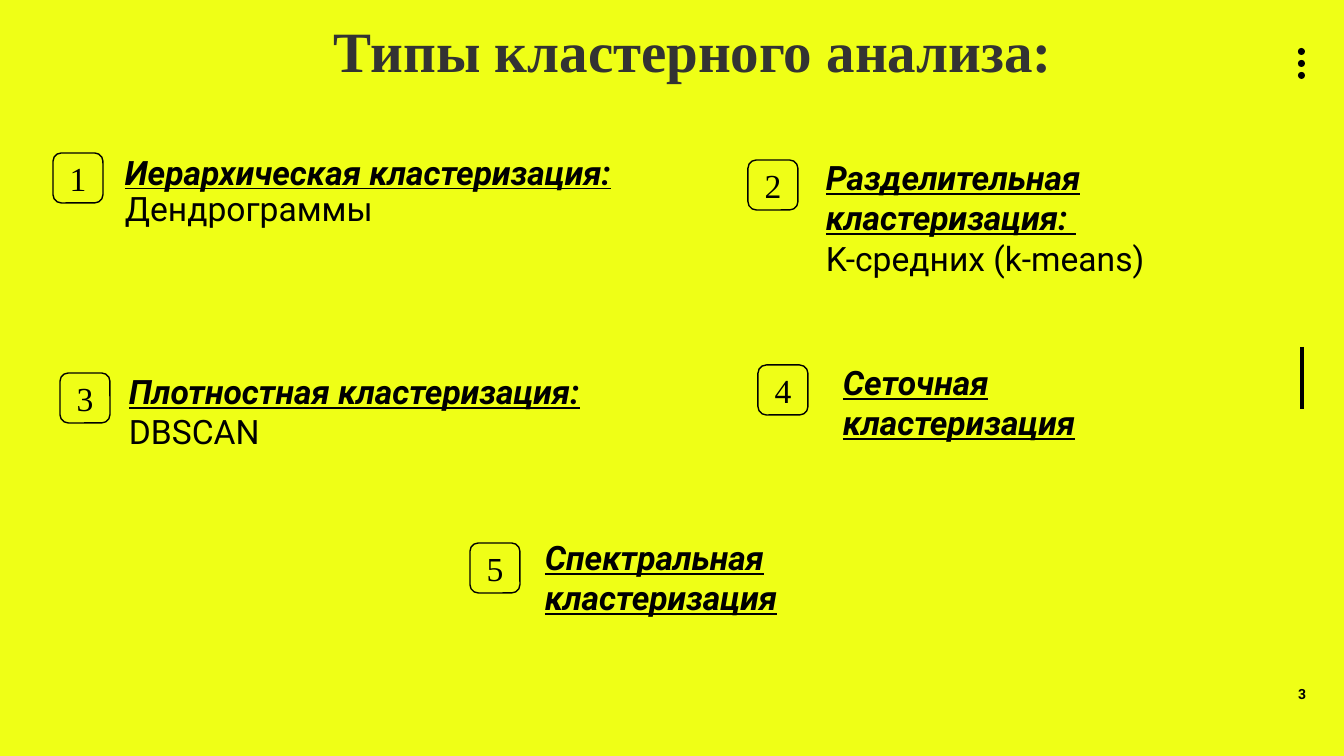
from pptx import Presentation
from pptx.dml.color import RGBColor
from pptx.enum.shapes import MSO_CONNECTOR, MSO_SHAPE
from pptx.enum.text import MSO_ANCHOR as ANCHOR, PP_ALIGN as ALIGN
from pptx.oxml.ns import qn
from pptx.util import Emu, Pt
from lxml import etree

COLORS = {"back": "EFFF16", "badge": "EFFE17", "ink": "000000", "title": "333333"}
BODY, SERIF = "Roboto", "Times New Roman"
EMU_PER_PX = 914400 / 100.8


def px(n):
    return Emu(round(n * EMU_PER_PX))


def rgb(name):
    return RGBColor.from_string(COLORS[name])


class Board:
    def __init__(self, slide):
        self.slide = slide
        self.shapes = slide.shapes
        fill = slide.background.fill
        fill.solid()
        fill.fore_color.rgb = rgb("back")

    def style(self, p, size, font=BODY, color="ink", bold=False, emphasis=False):
        """Format every run; emphasis adds bold, italic and underline."""
        for r in p.runs:
            f = r.font
            f.size, f.name, f.color.rgb = Pt(size), font, rgb(color)
            f.bold = bold or emphasis
            f.italic = f.underline = emphasis

    def text(self, x, y, w, h, content, spacing=None):
        """Add a wrapped text box and return its text frame."""
        tf = self.shapes.add_textbox(px(x), px(y), px(w), px(h)).text_frame
        tf.word_wrap = True
        tf.text = content
        for p in tf.paragraphs:
            p.line_spacing = spacing
        return tf

    def shape(self, kind, x, y, w, h, fill):
        sp = self.shapes.add_shape(kind, px(x), px(y), px(w), px(h))
        sp.shadow.inherit = False
        sp.fill.solid()
        sp.fill.fore_color.rgb = rgb(fill)
        return sp

    def dot(self, x, y, d):
        self.shape(MSO_SHAPE.OVAL, x, y, d, d, "ink").line.fill.background()

    def line(self, x1, y1, x2, y2, width):
        c = self.shapes.add_connector(MSO_CONNECTOR.STRAIGHT, px(x1), px(y1), px(x2), px(y2))
        c.line.color.rgb = rgb("ink")
        c.line.width = Pt(width)
        etree.SubElement(c._element.spPr, qn("a:effectLst"))

    def badge(self, x, y, number):
        sp = self.shape(MSO_SHAPE.ROUNDED_RECTANGLE, x, y, 50, 50, "badge")
        sp.line.color.rgb = rgb("ink")
        sp.line.width = Pt(1)
        tf = sp.text_frame
        tf.text = str(number)
        tf.vertical_anchor = ANCHOR.MIDDLE
        tf.paragraphs[0].alignment = ALIGN.CENTER
        self.style(tf.paragraphs[0], 24, SERIF)

    def item(self, box, heading, detail=None, spacing=None):
        """Add an emphasised heading with an optional plain line below."""
        content = f"{heading}\n{detail}" if detail else heading
        paragraphs = self.text(*box, content, spacing).paragraphs
        for i, p in enumerate(paragraphs):
            self.style(p, 24, emphasis=i == 0)


# badge position, text box, heading, detail, line spacing
CLUSTER_TYPES = [
    ((53, 153), (115, 151, 537, 158), "Иерархическая кластеризация:", "Дендрограммы", 0.9),
    ((748, 160), (816, 152, 379, 132), "Разделительная кластеризация: ", "K-средних (k-means)", None),
    ((60, 373), (119, 366, 525, 95), "Плотностная кластеризация:", "DBSCAN", None),
    ((758, 365), (833, 357, 341, 92), "Сеточная кластеризация", None, None),
    ((470, 543), (535, 532, 399, 92), "Спектральная кластеризация", None, None),
]


def main():
    prs = Presentation()
    prs.slide_width, prs.slide_height = px(1344), px(756)
    board = Board(prs.slides.add_slide(prs.slide_layouts[6]))

    for i in range(3):
        board.dot(1298, 48 + 12 * i, 7)
    board.line(1302, 347, 1302, 409, 3.25)

    title = board.text(324, 18, 750, 85, "Типы кластерного анализа:", 0.9)
    board.style(title.paragraphs[0], 40.7, SERIF, "title", bold=True)

    for number, (corner, box, heading, detail, spacing) in enumerate(CLUSTER_TYPES, 1):
        board.item(box, heading, detail, spacing)
        board.badge(*corner, number)

    page = board.text(1260, 674, 84, 40, "3")
    page.vertical_anchor = ANCHOR.MIDDLE
    page.paragraphs[0].alignment = ALIGN.CENTER
    board.style(page.paragraphs[0], 10, bold=True)

    prs.save("out.pptx")


if __name__ == "__main__":
    main()
